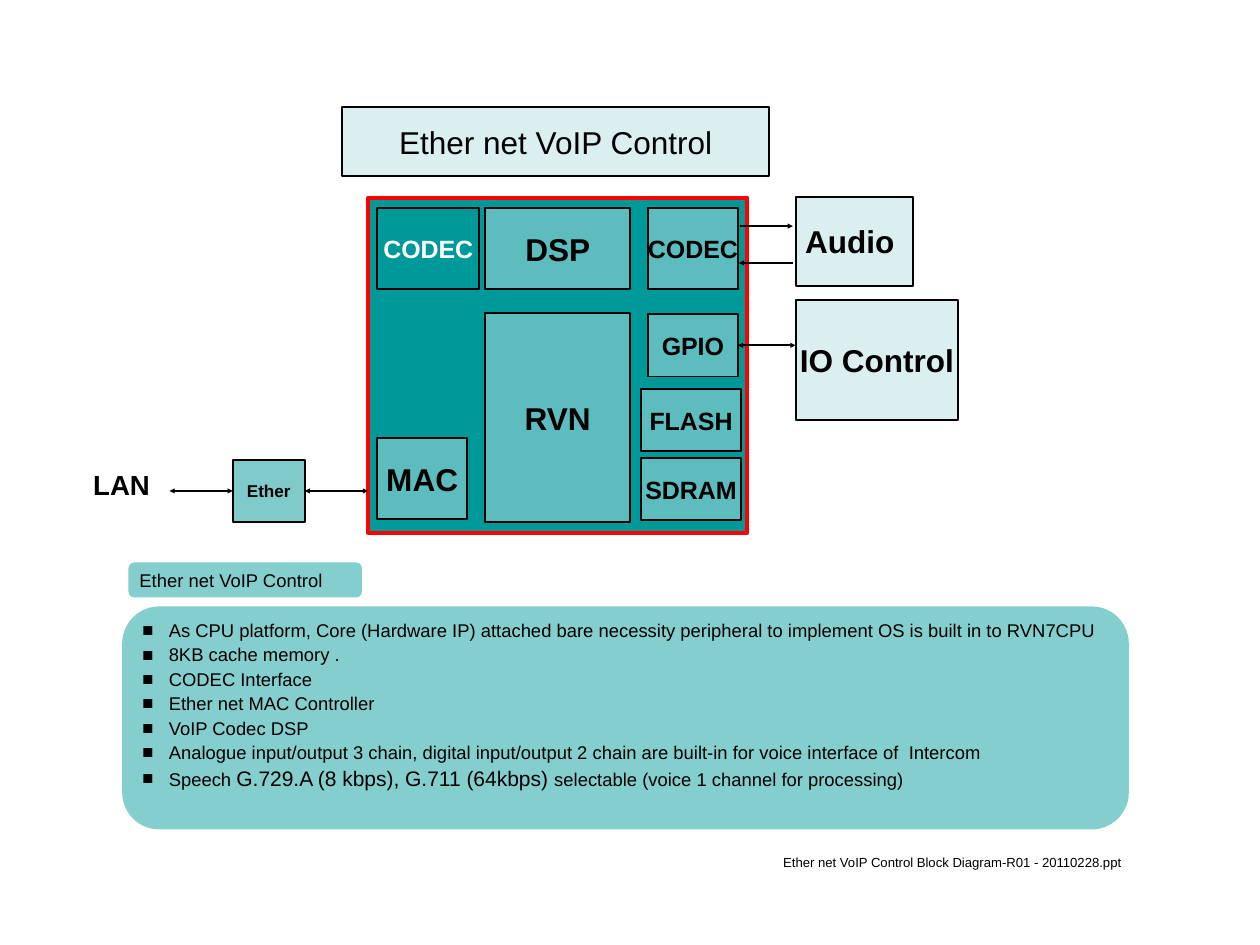
from lxml import etree
from pptx import Presentation, util as u
from pptx.dml.color import RGBColor
from pptx.enum import shapes, text
from pptx.oxml import ns

BLACK = RGBColor(0, 0, 0)
WHITE = RGBColor(255, 255, 255)
RED = RGBColor(255, 0, 0)
TEAL = RGBColor(0, 0x99, 0x99)
PALE = RGBColor(0xBB, 0xE0, 0xE3)
FONT = "Arial"
LEFT, RIGHT = 1, 3  # connection sites of a rectangle

FEATURES = [
    ["As CPU platform, Core (Hardware IP) attached bare necessity peripheral "
     "to implement OS is built in to RVN7CPU"],
    ["8KB cache memory ."],
    ["CODEC Interface"],
    ["Ether net MAC Controller"],
    ["VoIP Codec DSP"],
    ["Analogue input/output 3 chain, digital input/output 2 chain are "
     "built-in for voice interface of  Intercom"],
    ["Speech ", "G.729.A (8 kbps), G.711 (64kbps) ",
     "selectable (voice 1 channel for processing)"],
]

# label, left, top, width, height in cm, text size
BLOCKS = [
    ("RVN", 13.03, 8.41, 3.89, 5.61, 24),
    ("DSP", 13.03, 5.59, 3.89, 2.18, 24),
    ("CODEC", 17.4, 5.59, 2.41, 2.18, 19),
    ("MAC", 10.13, 11.76, 2.41, 2.18, 24),
    ("GPIO", 17.4, 8.43, 2.41, 1.68, 19),
    ("FLASH", 17.22, 10.44, 2.67, 1.68, 19),
    ("SDRAM", 17.22, 12.29, 2.67, 1.68, 19),
    ("Audio ", 21.36, 5.28, 3.15, 2.39, 24),
    ("IO Control", 21.36, 8.05, 4.37, 3.23, 24),
]


def add_element(parent, tag, **attributes):
    return etree.SubElement(parent, ns.qn(tag), attributes)


def set_fill(shape, color, opacity=100):
    shape.fill.solid()
    shape.fill.fore_color.rgb = color
    if opacity < 100:
        color_element = shape._element.spPr.find(".//" + ns.qn("a:srgbClr"))
        add_element(color_element, "a:alpha", val=str(opacity * 1000))


def set_line(shape, color=BLACK, width=1.5):
    shape.line.color.rgb = color
    shape.line.width = u.Pt(width)


def set_frame(shape, side, edge, wrap, anchor=text.MSO_ANCHOR.MIDDLE):
    frame = shape.text_frame
    frame.auto_size = text.MSO_AUTO_SIZE.NONE
    frame.word_wrap = wrap
    frame.vertical_anchor = anchor
    frame.margin_left = frame.margin_right = u.Cm(side)
    frame.margin_top = frame.margin_bottom = u.Cm(edge)
    return frame


def format_runs(paragraph, size, color=BLACK, bold=False):
    for run in paragraph.runs:
        run.font.name = FONT
        run.font.size = u.Pt(size)
        run.font.bold = bold
        run.font.color.rgb = color


def write(shape, label, size, align, color=BLACK, bold=False, wrap=False,
          side=0.33, edge=0.18, anchor=text.MSO_ANCHOR.MIDDLE):
    frame = set_frame(shape, side, edge, wrap, anchor)
    frame.text = label
    frame.paragraphs[0].alignment = align
    format_runs(frame.paragraphs[0], size, color, bold)


def add_shape(slide, kind, left, top, width, height, color, opacity=100):
    shape = slide.shapes.add_shape(
        kind, u.Cm(left), u.Cm(top), u.Cm(width), u.Cm(height))
    shape.shadow.inherit = False
    set_fill(shape, color, opacity)
    return shape


def add_block(slide, label, left, top, width, height, size,
              fill=PALE, color=BLACK):
    block = add_shape(slide, shapes.MSO_SHAPE.RECTANGLE,
                      left, top, width, height, fill, 50)
    set_line(block)
    write(block, label, size, text.PP_ALIGN.CENTER, color, bold=True)
    return block


def add_text(slide, label, left, top, width, height, size, align, **style):
    box = slide.shapes.add_textbox(
        u.Cm(left), u.Cm(top), u.Cm(width), u.Cm(height))
    write(box, label, size, align, anchor=text.MSO_ANCHOR.TOP, **style)


def add_arrow(slide, start_x, end_x, y, both=False):
    arrow = slide.shapes.add_connector(
        shapes.MSO_CONNECTOR.STRAIGHT,
        u.Cm(start_x), u.Cm(y), u.Cm(end_x), u.Cm(y))
    set_line(arrow)
    line = arrow.line._get_or_add_ln()
    for tag in ["a:headEnd", "a:tailEnd"] if both else ["a:tailEnd"]:
        add_element(line, tag, type="triangle", w="sm", len="sm")
    add_element(arrow._element.spPr, "a:effectLst")
    return arrow


def move(shape, left, top, width, height):
    shape.left, shape.top = u.Cm(left), u.Cm(top)
    shape.width, shape.height = u.Cm(width), u.Cm(height)


def format_title(title):
    move(title, 9.19, 2.88, 11.46, 1.85)
    set_fill(title, PALE, 50)
    set_line(title)
    write(title, "Ether net VoIP Control", 24, text.PP_ALIGN.CENTER)


def add_bullet(paragraph):
    properties = paragraph._p.get_or_add_pPr()
    properties.set("marL", str(u.Cm(0.71)))
    properties.set("indent", str(-u.Cm(0.71)))
    add_element(properties, "a:buFont", typeface=FONT)
    add_element(properties, "a:buChar", char="■")


def format_features(body):
    move(body, 3.28, 16.28, 27.03, 5.99)
    add_element(body._element.spPr, "a:prstGeom",
                prst="flowChartAlternateProcess")
    set_fill(body, TEAL, 48)
    frame = set_frame(body, 0.25, 0.11, True, text.MSO_ANCHOR.TOP)
    for index, parts in enumerate(FEATURES):
        paragraph = frame.add_paragraph() if index else frame.paragraphs[0]
        add_bullet(paragraph)
        paragraph.line_spacing = 0.9
        paragraph.space_before = u.Pt(3.5 if index else 0)
        for part in parts:
            paragraph.add_run().text = part
        format_runs(paragraph, 14)
        if len(parts) > 1:
            paragraph.runs[1].font.size = u.Pt(16)


def main():
    presentation = Presentation()
    presentation.slide_width = u.Cm(33.83)
    presentation.slide_height = u.Cm(25.37)
    slide = presentation.slides.add_slide(presentation.slide_layouts[1])

    # Title and feature list
    format_title(slide.shapes.title)
    format_features(slide.placeholders[1])

    # Chip and its blocks
    chip = add_shape(slide, shapes.MSO_SHAPE.RECTANGLE,
                     9.88, 5.31, 10.19, 8.99, TEAL)
    set_line(chip, RED, 3)
    blocks = {row[0]: add_block(slide, *row) for row in BLOCKS}
    add_block(slide, "CODEC", 10.13, 5.59, 2.74, 2.18, 19, TEAL, WHITE)

    # Network side
    ether = add_block(slide, "Ether", 6.25, 12.34, 1.93, 1.68, 13, TEAL)
    add_text(slide, "LAN", 2.16, 12.38, 2.21, 1.22, 21,
             text.PP_ALIGN.CENTER, bold=True)
    add_arrow(slide, 9.88, 8.18, 13.18, both=True).end_connect(ether, RIGHT)
    add_arrow(slide, 6.25, 4.55, 13.18, both=True).begin_connect(ether, LEFT)

    # Audio and IO signals
    add_arrow(slide, 19.86, 21.29, 6.07)
    add_arrow(slide, 21.29, 19.84, 7.06)
    gpio_arrow = add_arrow(slide, 21.36, 19.81, 9.27, both=True)
    gpio_arrow.end_connect(blocks["GPIO"], RIGHT)

    # List label and file name
    label = add_shape(slide, shapes.MSO_SHAPE.FLOWCHART_ALTERNATE_PROCESS,
                      3.45, 15.1, 6.27, 0.94, TEAL, 48)
    label.line.fill.background()
    write(label, "Ether net VoIP Control", 14, text.PP_ALIGN.LEFT,
          wrap=True, side=0.25, edge=0.13)
    add_text(slide, "Ether net VoIP Control Block Diagram-R01 - 20110228.ppt",
             20.78, 22.81, 10.72, 0.69, 10, text.PP_ALIGN.LEFT,
             wrap=True, side=0.25, edge=0.13)

    presentation.save("out.pptx")


if __name__ == "__main__":
    main()
